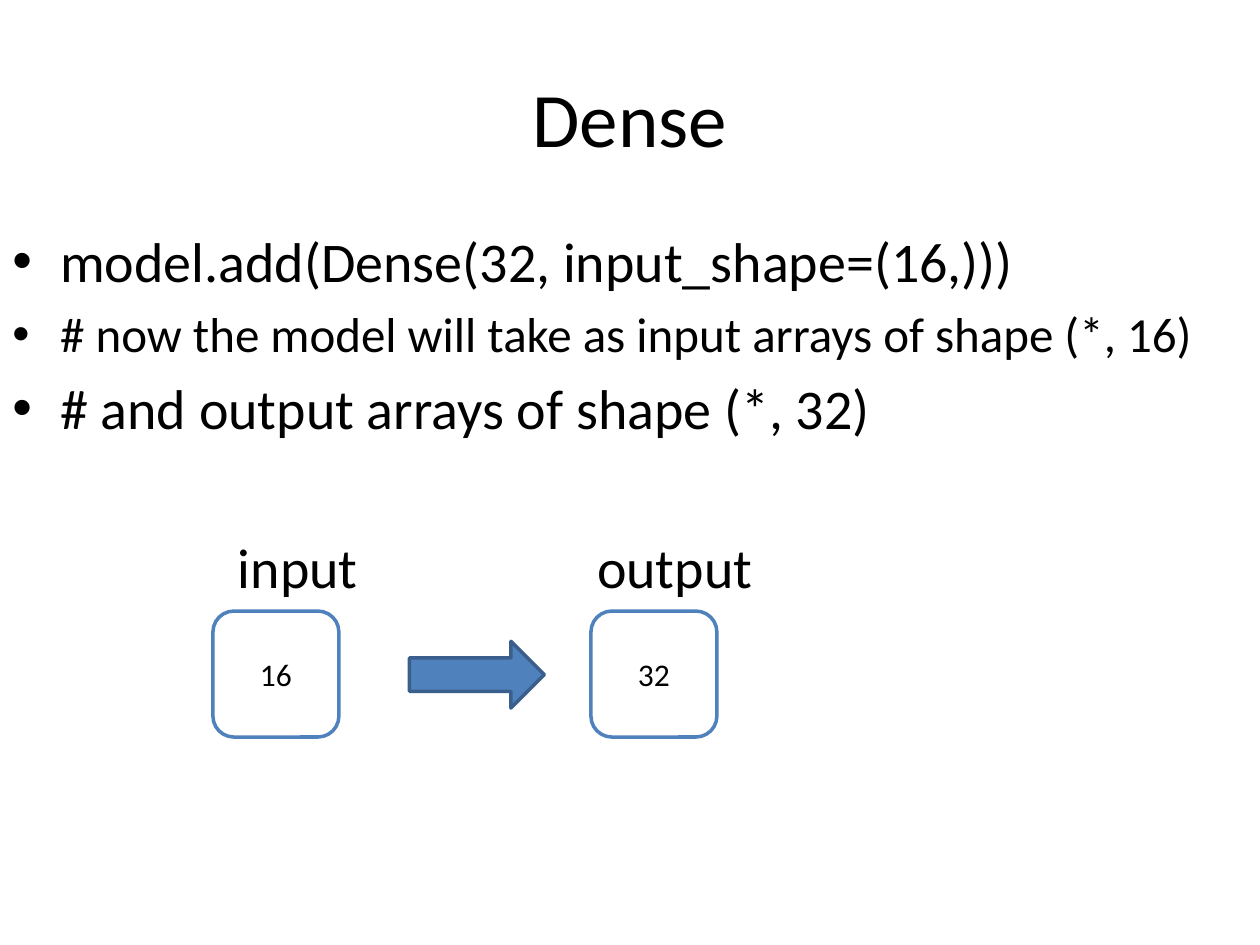
from dataclasses import dataclass

from lxml.etree import SubElement
from pptx import Presentation
from pptx.dml.color import RGBColor
from pptx.enum.shapes import MSO_SHAPE
from pptx.enum.text import MSO_ANCHOR, PP_ALIGN
from pptx.oxml.ns import qn
from pptx.util import Inches, Pt


@dataclass(frozen=True)
class Theme:
    font: str = "Calibri"
    text: RGBColor = RGBColor(0, 0, 0)
    paper: RGBColor = RGBColor(255, 255, 255)
    accent: RGBColor = RGBColor(0x4F, 0x81, 0xBD)
    accent_dark: RGBColor = RGBColor(0x3A, 0x5F, 0x8C)
    title_size: int = 44
    body_size: int = 32
    small_body_size: int = 28
    box_size: int = 18
    line_width: int = 2


class SlideBuilder:
    """Draws styled elements on one slide."""

    def __init__(self, slide, theme):
        self.slide = slide
        self.theme = theme

    def add_text(self, paragraph, text, size):
        run = paragraph.add_run()
        run.text = text
        run.font.name = self.theme.font
        run.font.size = Pt(size)
        run.font.color.rgb = self.theme.text

    def text_frame(self, left, top, width, height):
        bounds = map(Inches, (left, top, width, height))
        frame = self.slide.shapes.add_textbox(*bounds).text_frame
        frame.word_wrap = True
        return frame

    def title(self, text, *bounds):
        frame = self.text_frame(*bounds)
        frame.vertical_anchor = MSO_ANCHOR.MIDDLE
        frame.paragraphs[0].alignment = PP_ALIGN.CENTER
        self.add_text(frame.paragraphs[0], text, self.theme.title_size)

    def label(self, text, *bounds):
        frame = self.text_frame(*bounds)
        self.add_text(frame.paragraphs[0], text, self.theme.body_size)

    def bullets(self, items, *bounds):
        frame = self.text_frame(*bounds)
        for index, (text, size) in enumerate(items):
            paragraph = frame.add_paragraph() if index else frame.paragraphs[0]
            paragraph.space_before = Pt(size * 0.2)
            properties = paragraph._p.get_or_add_pPr()
            properties.set("marL", str(Inches(0.38)))
            properties.set("indent", str(-Inches(0.38)))
            SubElement(properties, qn("a:buFont"), typeface="Arial")
            SubElement(properties, qn("a:buChar"), char="•")
            self.add_text(paragraph, text, size)

    def shape(self, kind, fill, line, *bounds):
        shape = self.slide.shapes.add_shape(kind, *map(Inches, bounds))
        shape.shadow.inherit = False
        shape.fill.solid()
        shape.fill.fore_color.rgb = fill
        shape.line.color.rgb = line
        shape.line.width = Pt(self.theme.line_width)
        return shape

    def box(self, text, *bounds):
        theme = self.theme
        shape = self.shape(MSO_SHAPE.ROUNDED_RECTANGLE, theme.paper, theme.accent, *bounds)
        shape.text_frame.vertical_anchor = MSO_ANCHOR.MIDDLE
        paragraph = shape.text_frame.paragraphs[0]
        paragraph.alignment = PP_ALIGN.CENTER
        self.add_text(paragraph, text, theme.box_size)

    def arrow(self, *bounds):
        self.shape(MSO_SHAPE.RIGHT_ARROW, self.theme.accent, self.theme.accent_dark, *bounds)


def main():
    theme = Theme()
    presentation = Presentation()
    presentation.slide_width = Inches(10)
    presentation.slide_height = Inches(7.5)
    slide = presentation.slides.add_slide(presentation.slide_layouts[6])
    builder = SlideBuilder(slide, theme)

    builder.title("Dense", 0.5, 0.3, 9, 1.25)
    code_lines = [
        ("model.add(Dense(32, input_shape=(16,)))", theme.body_size),
        ("# now the model will take as input arrays of shape (*, 16)", theme.small_body_size),
        ("# and output arrays of shape (*, 32)", theme.body_size),
    ]
    builder.bullets(code_lines, 0, 1.75, 10, 2.2)

    layers = [("input", 1.79, "16", 1.69), ("output", 4.64, "32", 4.69)]
    for name, name_left, units, box_left in layers:
        builder.label(name, name_left, 4.18, 1.6, 0.64)
        builder.box(units, box_left, 4.85, 1, 1)
    builder.arrow(3.25, 5.09, 1.07, 0.53)

    presentation.save("out.pptx")


main()
